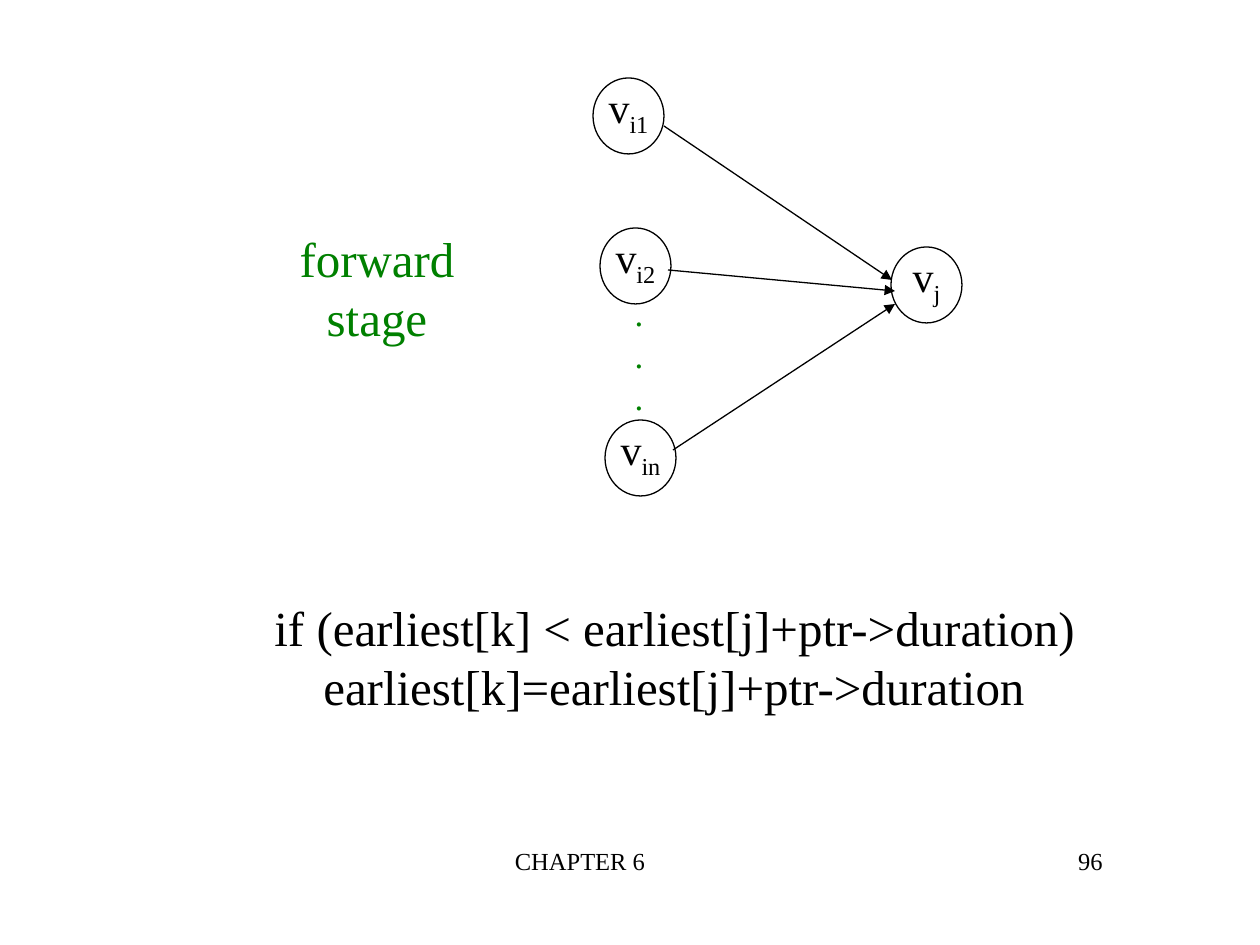
from dataclasses import dataclass

import pptx
import pptx.dml.color
import pptx.enum.shapes
import pptx.enum.text
import pptx.oxml
import pptx.oxml.ns
import pptx.util
from pptx.enum.text import MSO_ANCHOR, PP_ALIGN

EMU_PER_PX = 914400 / 126


@dataclass(frozen=True)
class Theme:
    font: str = "Times New Roman"
    black: str = "000000"
    green: str = "008000"
    footer_size: int = 14
    dots_size: int = 20
    node_size: int = 24
    text_size: int = 28
    line_width: float = 0.75


@dataclass(frozen=True)
class Node:
    left: int
    top: int
    subscript: str


@dataclass(frozen=True)
class Arrow:
    start: tuple[int, int]
    end: tuple[int, int]


THEME = Theme()
NODE_WIDTH, NODE_HEIGHT = 71, 76
LABEL_LIFT = 4

NODES = [
    Node(593, 78, "i1"),
    Node(600, 228, "i2"),
    Node(605, 420, "in"),
    Node(891, 247, "j"),
]
ARROWS = [
    Arrow((664, 126), (892, 280)),
    Arrow((668, 270), (895, 291)),
    Arrow((673, 450), (895, 304)),
]
CODE = [
    "if (earliest[k] < earliest[j]+ptr->duration)",
    "    earliest[k]=earliest[j]+ptr->duration",
]


def px(*lengths: int) -> list[pptx.util.Emu]:
    return [pptx.util.Emu(round(length * EMU_PER_PX)) for length in lengths]


def rgb(color: str) -> pptx.dml.color.RGBColor:
    return pptx.dml.color.RGBColor.from_string(color)


def add_text(page, lines: list[str], area: tuple[int, int, int, int], *,
             size: int, color: str = THEME.black, align=PP_ALIGN.CENTER,
             anchor=MSO_ANCHOR.MIDDLE, wrap: bool = False,
             subscript: str = "") -> None:
    """Write one paragraph per line; a subscript follows each line."""
    box = page.shapes.add_textbox(*px(*area))
    frame = box.text_frame
    frame.word_wrap = wrap
    frame.vertical_anchor = anchor
    for index, line in enumerate(lines):
        para = frame.paragraphs[0] if index == 0 else frame.add_paragraph()
        para.alignment = align
        for text in filter(None, (line, subscript)):
            span = para.add_run()
            span.text = text
            span.font.name = THEME.font
            span.font.size = pptx.util.Pt(size)
            span.font.color.rgb = rgb(color)
        if subscript:
            span._r.get_or_add_rPr().set("baseline", "-25000")


def set_line(line) -> None:
    line.color.rgb = rgb(THEME.black)
    line.width = pptx.util.Pt(THEME.line_width)


def add_node(page, node: Node) -> None:
    circle = page.shapes.add_shape(
        pptx.enum.shapes.MSO_SHAPE.OVAL,
        *px(node.left, node.top, NODE_WIDTH, NODE_HEIGHT))
    circle.shadow.inherit = False
    circle.fill.background()
    set_line(circle.line)
    add_text(page, ["v"],
             (node.left, node.top - LABEL_LIFT, NODE_WIDTH, NODE_HEIGHT - LABEL_LIFT),
             size=THEME.node_size, subscript=node.subscript)


def add_arrow(page, arrow: Arrow) -> None:
    connector = page.shapes.add_connector(
        pptx.enum.shapes.MSO_CONNECTOR.STRAIGHT, *px(*arrow.start, *arrow.end))
    set_line(connector.line)
    head = pptx.oxml.parse_xml(
        f'<a:tailEnd {pptx.oxml.ns.nsdecls("a")} type="triangle"/>')
    connector.line._get_or_add_ln().append(head)
    properties = connector._element.spPr
    properties.append(pptx.oxml.parse_xml(
        f'<a:effectLst {pptx.oxml.ns.nsdecls("a")}/>'))


def main() -> None:
    deck = pptx.Presentation()
    deck.slide_width, deck.slide_height = px(1260, 945)
    page = deck.slides.add_slide(deck.slide_layouts[6])

    # Footer and page number
    add_text(page, ["CHAPTER 6"], (380, 840, 400, 63), size=THEME.footer_size,
             anchor=MSO_ANCHOR.TOP, wrap=True)
    add_text(page, ["96"], (853, 840, 262, 63), size=THEME.footer_size,
             align=PP_ALIGN.RIGHT, anchor=MSO_ANCHOR.TOP, wrap=True)

    # Graph of predecessors leading to one vertex
    for node in NODES:
        add_node(page, node)
    add_text(page, ["."] * 3, (622, 285, 34, 139), size=THEME.dots_size,
             color=THEME.green)
    for arrow in ARROWS:
        add_arrow(page, arrow)

    # Stage name and its update rule
    add_text(page, ["forward stage"], (231, 251, 292, 72),
             size=THEME.text_size, color=THEME.green)
    add_text(page, CODE, (262, 591, 827, 131), size=THEME.text_size,
             align=PP_ALIGN.LEFT)

    deck.save("out.pptx")


if __name__ == "__main__":
    main()
